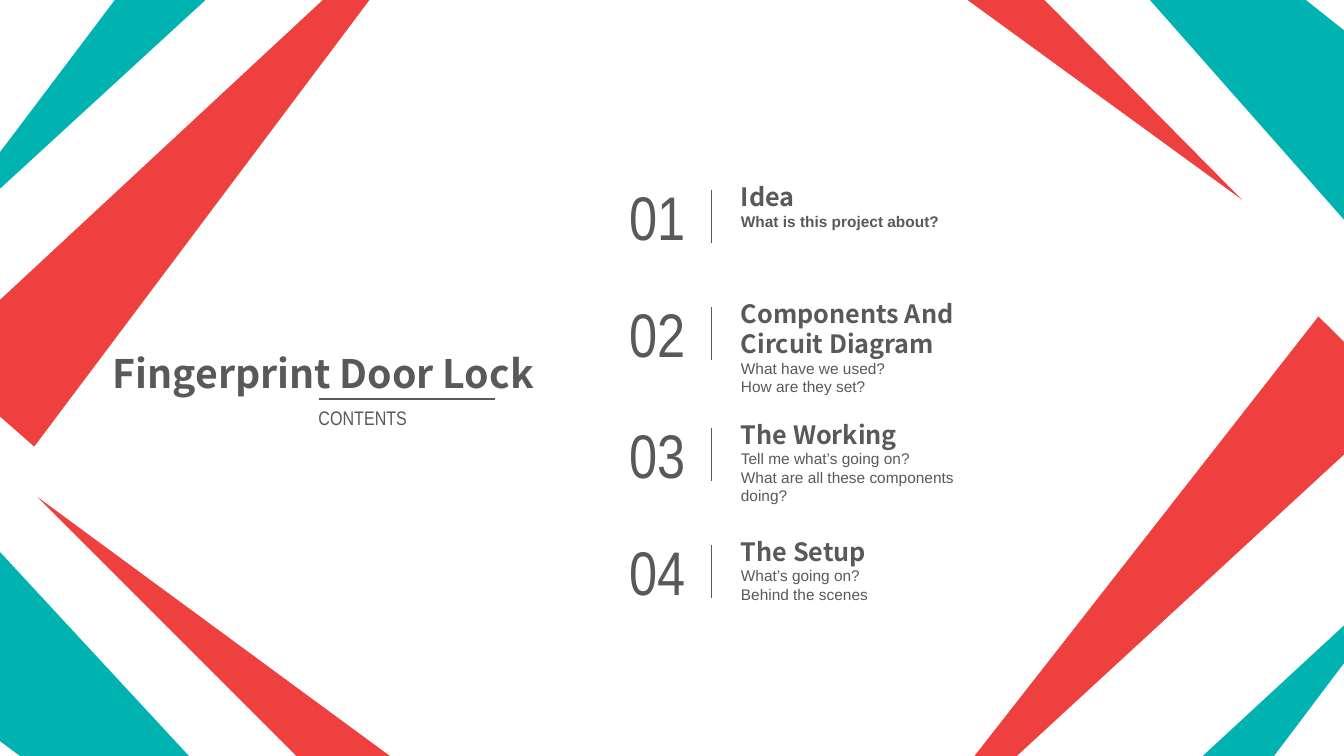
"""Build the contents slide of the Fingerprint Door Lock presentation."""
from lxml.etree import SubElement
from pptx import Presentation
from pptx.dml.color import RGBColor
from pptx.enum.shapes import MSO_CONNECTOR
from pptx.enum.text import MSO_ANCHOR, MSO_AUTO_SIZE, PP_ALIGN
from pptx.oxml.ns import qn
from pptx.util import Inches, Pt

RED = RGBColor(0xEE, 0x40, 0x3F)
TEAL = RGBColor(0x00, 0xB3, 0xB0)
GRAY = RGBColor(0x59, 0x59, 0x59)
HEADING_FONT = "Noto Sans CJK SC"
NUMBER_FONT = "Arial Narrow"
BODY_FONT = "Arial"

presentation = Presentation()
presentation.slide_width = Inches(13.33)
presentation.slide_height = Inches(7.5)
COLUMN = presentation.slide_width / 100
ROW = presentation.slide_height / 100
slide = presentation.slides.add_slide(presentation.slide_layouts[5])


def fill_text(shape, lines, align=PP_ALIGN.LEFT, wrap=True):
    """Write (text, font name, size, bold) lines into a shape."""
    frame = shape.text_frame
    frame.word_wrap = wrap
    frame.auto_size = MSO_AUTO_SIZE.SHAPE_TO_FIT_TEXT
    frame.vertical_anchor = MSO_ANCHOR.TOP
    if wrap:
        frame.margin_left = frame.margin_right = 0
        frame.margin_top = frame.margin_bottom = 0
    frame.text = "\n".join(line[0] for line in lines)
    for paragraph, (_, name, size, bold) in zip(frame.paragraphs, lines):
        paragraph.alignment = align
        font = paragraph.font
        font.name, font.size, font.bold = name, Pt(size), bold
        font.color.rgb = GRAY


def add_rule(left, top, right, bottom, weight):
    """Draw a gray line between two grid points."""
    rule = slide.shapes.add_connector(
        MSO_CONNECTOR.STRAIGHT, int(left * COLUMN), int(top * ROW),
        int(right * COLUMN), int(bottom * ROW))
    rule.line.color.rgb = GRAY
    rule.line.width = Pt(weight)
    SubElement(rule.line._get_or_add_ln().getparent(), qn("a:effectLst"))


triangles = [
    (RED, (35.48, -18.93), (-4.8, 47.6), (2.55, 59.07)),
    (RED, (2.78, 65.73), (47.1, 144.53), (54.83, 133.73)),
    (RED, (98.1, 41.87), (64.35, 118.53), (104.4, 52.93)),
    (RED, (51.75, -46.67), (45.08, -34.8), (92.4, 26.4)),
    (TEAL, (120.75, 33.33), (58.2, -55.07), (112.2, 53.6)),
    (TEAL, (51.08, -58.4), (40.13, -74.4), (-6.68, 35.87)),
    (TEAL, (41.85, 153.33), (-10.95, 52), (-19.5, 72.27)),
    (TEAL, (106.95, 71.33), (50.85, 163.47), (61.8, 177.87)),
]
for color, *corners in triangles:
    start, *others = [(x * COLUMN, y * ROW) for x, y in corners]
    builder = slide.shapes.build_freeform(*start)
    builder.add_line_segments(others, close=True)
    triangle = builder.convert_to_shape()
    triangle.shadow.inherit = False
    triangle.fill.solid()
    triangle.fill.fore_color.rgb = color
    triangle.line.fill.background()

title = slide.shapes.title
title.left, title.top = int(8.4 * COLUMN), int(46.27 * ROW)
title.width, title.height = int(34.28 * COLUMN), int(6.27 * ROW)
fill_text(title, [("Fingerprint Door Lock", HEADING_FONT, 28, True)], PP_ALIGN.JUSTIFY)

subtitle = slide.shapes.add_textbox(
    int(23.7 * COLUMN), int(53.73 * ROW), int(13.13 * COLUMN), int(3.2 * ROW))
fill_text(subtitle, [("CONTENTS", NUMBER_FONT, 14, False)], PP_ALIGN.JUSTIFY)
add_rule(23.7, 52.8, 36.83, 52.8, 1)

sections = [
    (24, 6.53, "Idea", ["What is this project about?"]),
    (39.47, 17.07, "Components And Circuit Diagram",
     ["What have we used?", "How are they set?"]),
    (55.47, 11.47, "The Working",
     ["Tell me what’s going on?", "What are all these components doing?"]),
    (70.93, 11.47, "The Setup", ["What’s going on?", "Behind the scenes"]),
]
for number, (top, height, heading, details) in enumerate(sections, start=1):
    section_box = slide.shapes.add_textbox(
        int(55.13 * COLUMN), int(top * ROW), int(18.3 * COLUMN), int(height * ROW))
    lines = [(heading, HEADING_FONT, 18, True)]
    lines += [(detail, BODY_FONT, 11, number == 1) for detail in details]
    fill_text(section_box, lines)

    number_box = slide.shapes.add_textbox(
        int(45.75 * COLUMN), int((top - 0.93) * ROW), int(6.3 * COLUMN), int(11.2 * ROW))
    fill_text(number_box, [(f"{number:02}", NUMBER_FONT, 44, False)], PP_ALIGN.CENTER, wrap=False)
    add_rule(52.95, top + 1.2, 52.95, top + 8.13, 0.5)

presentation.save("out.pptx")
